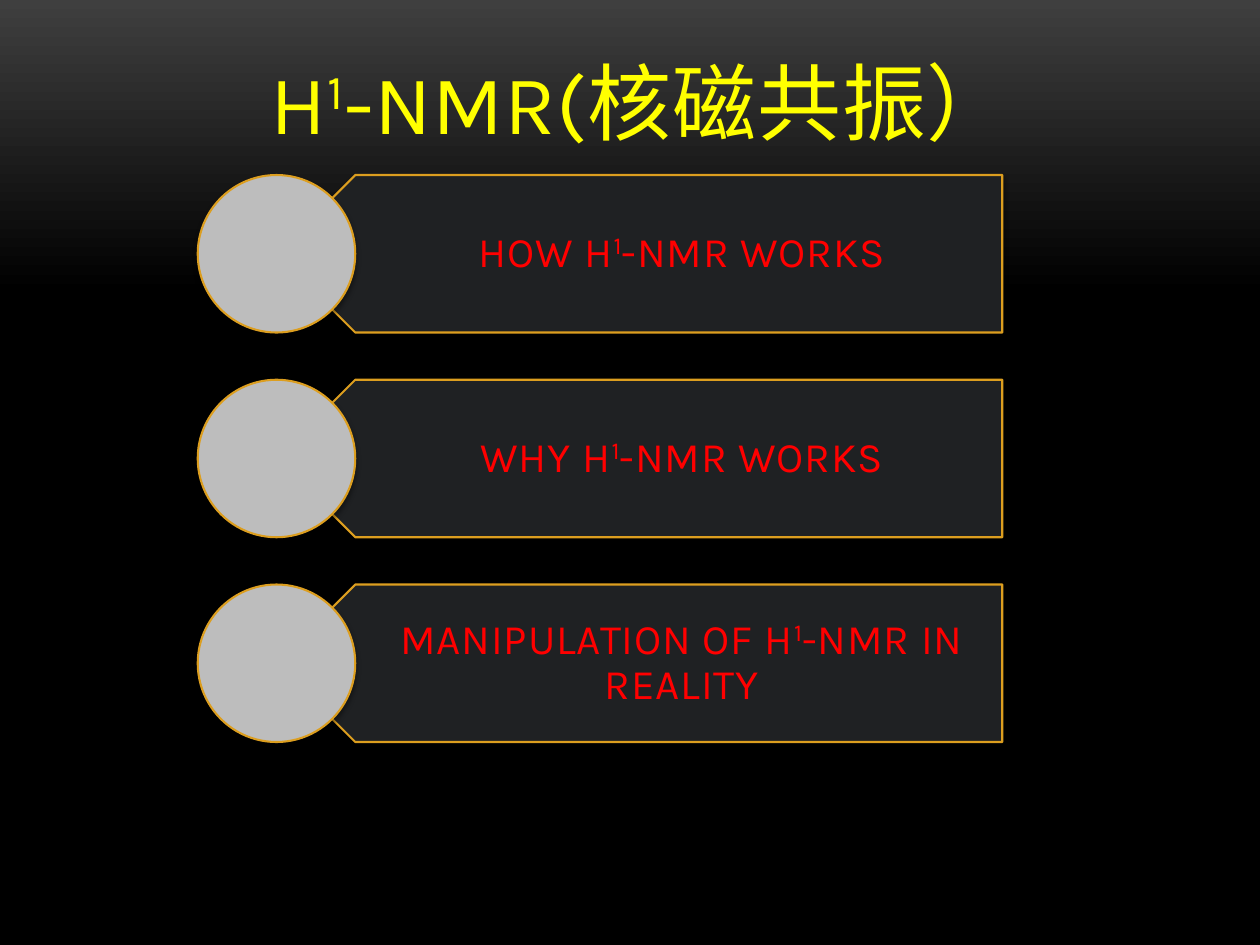
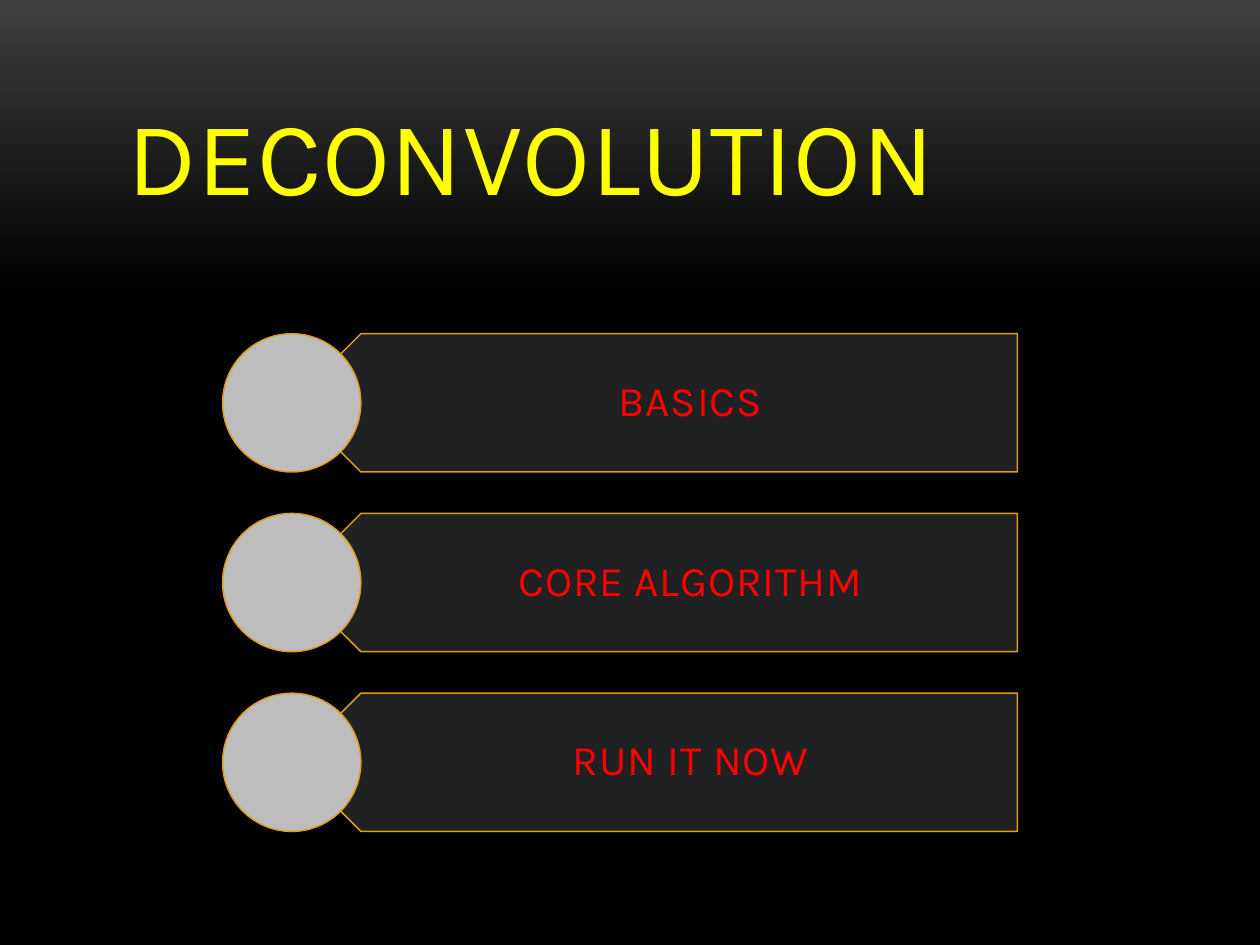
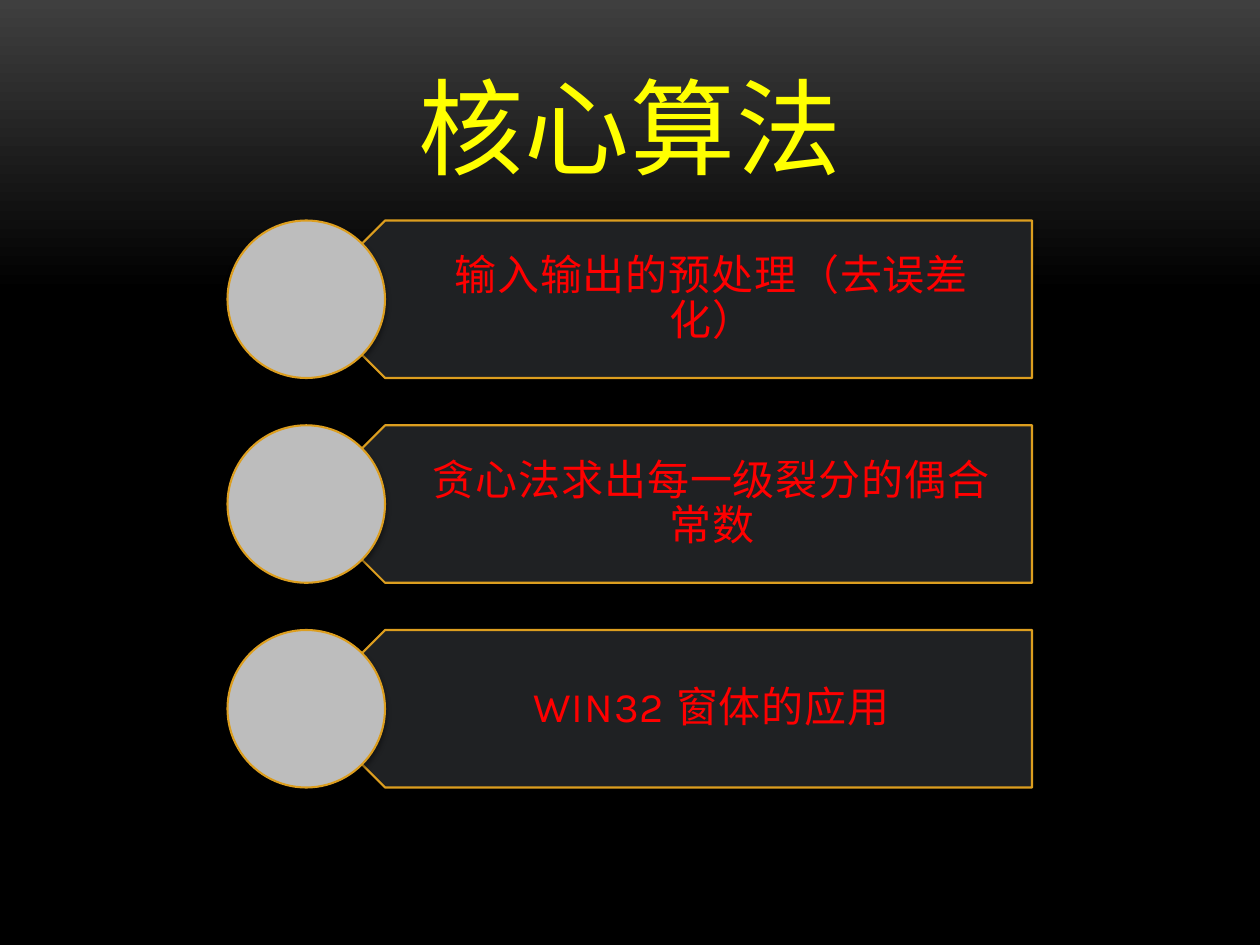
from lxml import etree
from pptx import Presentation
from pptx.dml.color import RGBColor
from pptx.enum import shapes, text
from pptx.oxml import ns
from pptx.util import Pt

# Shared look
YELLOW = RGBColor(0xFF, 0xFF, 0x00)
RED = RGBColor(0xFF, 0x00, 0x00)
GOLD = RGBColor(0xDC, 0x9E, 0x1F)
PANEL = RGBColor(0x1F, 0x21, 0x23)
SILVER = RGBColor(0xBD, 0xBD, 0xBD)
GREY = RGBColor(0x3F, 0x3F, 0x3F)
BLACK = RGBColor(0x00, 0x00, 0x00)
LEFT, CENTER = text.PP_ALIGN.LEFT, text.PP_ALIGN.CENTER
BAR_W = 414.72
TITLE_W, TITLE_H = 624.24, 90

# One entry per slide; text between ^ marks is superscript
SLIDES = [
    dict(title="H^1^-NMR(核磁共振）", at=(54, 0), size=48, font="Karla", align=CENTER,
         left=113, top=100, dot=90, line=1.2, shadow=True,
         labels=["HOW H^1^-NMR WORKS", "WHY H^1^-NMR WORKS",
                 "MANIPULATION OF H^1^-NMR IN REALITY"]),
    dict(title="DECONVOLUTION", at=(65.5, 37.5), size=60, font="Karla", align=LEFT,
         left=127.2, top=190.7, dot=79, line=0.85, shadow=False,
         labels=["BASICS", "CORE ALGORITHM", "RUN IT NOW"]),
    dict(title="核心算法", at=(48, 21.6), size=60, font="Arial Narrow", align=CENTER,
         left=130, top=126, dot=90, line=1.2, shadow=True,
         labels=["输入输出的预处理（去误差化）", "贪心法求出每一级裂分的偶合常数",
                 "WIN32 窗体的应用"]),
]


def add_runs(p, marked, size, font, color, sup_spacing):
    for i, part in enumerate(marked.split("^")):
        raised = i % 2 == 1
        r = p.add_run()
        r.text = part
        r.font.size, r.font.name = Pt(size), font
        r.font.color.rgb = color
        rPr = r.font._element
        rPr.set("spc", str(sup_spacing if raised else 50))
        if raised:
            rPr.set("baseline", "30000")


def style_shape(sp, fill, width, shadow):
    sp.fill.solid()
    sp.fill.fore_color.rgb = fill
    sp.line.color.rgb = GOLD
    sp.line.width = Pt(width)
    sp.shadow.inherit = False
    if shadow:
        effects = sp._element.spPr.find(ns.qn("a:effectLst"))
        outer = etree.SubElement(effects, ns.qn("a:outerShdw"), blurRad=str(Pt(3)),
                                 dist=str(Pt(2)), dir="5400000", rotWithShape="0")
        clr = etree.SubElement(outer, ns.qn("a:srgbClr"), val=str(BLACK))
        etree.SubElement(clr, ns.qn("a:alpha"), val="40000")


prs = Presentation()
prs.slide_width, prs.slide_height = Pt(720), Pt(540)

# Background: grey fading to black
bg = prs.slide_master.background.fill
bg.gradient()
bg.gradient_angle = 270
for stop, color, position in zip(bg.gradient_stops, (GREY, BLACK), (0, 0.31)):
    stop.color.rgb = color
    stop.position = position

for d in SLIDES:
    s = prs.slides.add_slide(prs.slide_layouts[5])

    # Title
    title = s.shapes.title
    title.left, title.top = Pt(d["at"][0]), Pt(d["at"][1])
    title.width, title.height = Pt(TITLE_W), Pt(TITLE_H)
    tf = title.text_frame
    tf.word_wrap = True
    tf.auto_size = text.MSO_AUTO_SIZE.NONE
    tf.vertical_anchor = text.MSO_ANCHOR.BOTTOM
    p = tf.paragraphs[0]
    p.alignment = d["align"]
    add_runs(p, d["title"], d["size"], d["font"], YELLOW, 50)

    # List rows: bar, label and dot, all scaled by the dot
    dot = d["dot"]
    bar_left = d["left"] + dot / 2
    group = s.shapes.add_group_shape().shapes
    for i, label in enumerate(d["labels"]):
        top = Pt(d["top"] + i * 1.3 * dot)

        bar = group.add_shape(shapes.MSO_SHAPE.PENTAGON, Pt(bar_left), top,
                              Pt(BAR_W), Pt(dot))
        bar.rotation = 180
        style_shape(bar, PANEL, d["line"], d["shadow"])

        box = group.add_textbox(Pt(bar_left + dot / 4), top,
                                Pt(BAR_W - dot / 4), Pt(dot))
        tf = box.text_frame
        tf.word_wrap = True
        tf.vertical_anchor = text.MSO_ANCHOR.MIDDLE
        tf.margin_left, tf.margin_right = Pt(0.44 * dot), Pt(13.5)
        tf.margin_top = tf.margin_bottom = Pt(7.2)
        p = tf.paragraphs[0]
        p.alignment = CENTER
        p.line_spacing = 0.9
        p.space_after = Pt(8.4)
        add_runs(p, label, 24, "Karla", RED, 0)

        circle = group.add_shape(shapes.MSO_SHAPE.OVAL, Pt(d["left"]), top,
                                 Pt(dot), Pt(dot))
        style_shape(circle, SILVER, d["line"], d["shadow"])

prs.save("out.pptx")
